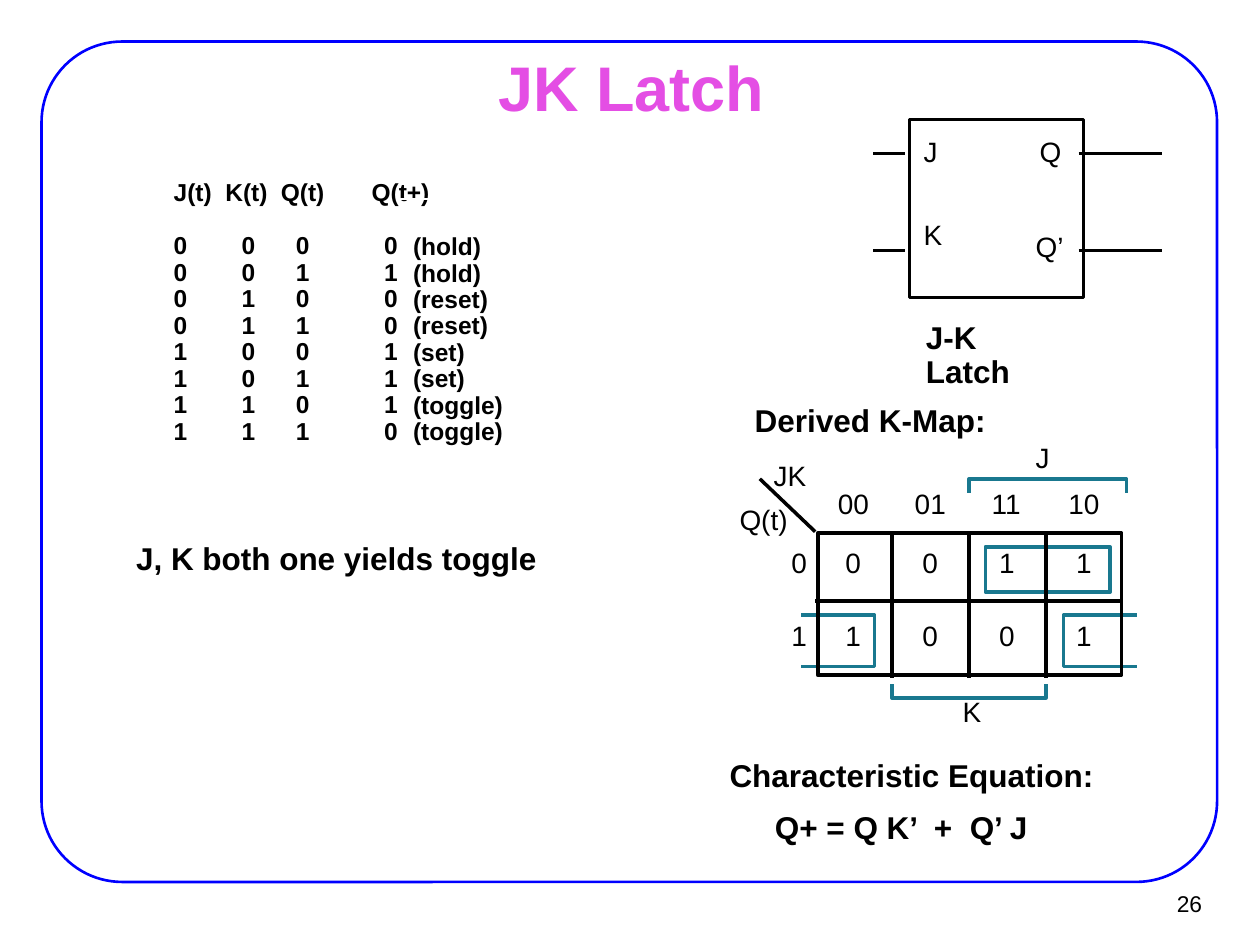
from lxml import etree
from pptx import Presentation, util as u
from pptx.dml.color import RGBColor
from pptx.enum import shapes, text
from pptx.oxml import ns

BLACK, WHITE, BLUE, TEAL, PINK = "000000", "FFFFFF", "0000FF", "19788F", "E44EE4"
TRUTH_ROWS = ["0000", "0011", "0100", "0110", "1001", "1011", "1101", "1110"]
ACTIONS = ["(hold)", "(reset)", "(set)", "(toggle)"]
MAP_LEFT, MAP_COLUMN = 64.7, 6.1


def grid(count):
    return u.Inches(count / 10)


def color(value):
    return RGBColor.from_string(value)


def write(frame, lines, size, bold=False, ink=BLACK, spacing=1.0,
          align=text.PP_ALIGN.LEFT, margins=(0, 0)):
    frame.margin_left = frame.margin_right = grid(margins[0])
    frame.margin_top = frame.margin_bottom = grid(margins[1])
    frame.text = "\n".join(lines)
    for paragraph in frame.paragraphs:
        paragraph.alignment = align
        paragraph.line_spacing = spacing
        paragraph.font.name = "Arial"
        paragraph.font.size = u.Pt(size)
        paragraph.font.bold = bold
        paragraph.font.color.rgb = color(ink)


def add_label(slide, words, left, top, width, height, size=16, wrap=False, **style):
    shape = slide.shapes.add_textbox(*map(grid, (left, top, width, height)))
    shape.text_frame.word_wrap = wrap
    write(shape.text_frame, [words], size, **style)


def outline(shape, ink, weight):
    shape.shadow.inherit = False
    shape.fill.background()
    shape.line.color.rgb = color(ink)
    shape.line.width = u.Pt(weight)


def add_box(slide, left, top, width, height, ink=BLACK, weight=2,
            kind=shapes.MSO_SHAPE.RECTANGLE):
    shape = slide.shapes.add_shape(kind, *map(grid, (left, top, width, height)))
    outline(shape, ink, weight)
    return shape


def add_line(slide, *ends):
    line = slide.shapes.add_connector(shapes.MSO_CONNECTOR.STRAIGHT, *map(grid, ends))
    line.line.color.rgb = color(BLACK)
    line.line.width = u.Pt(2)
    etree.SubElement(line._element.spPr, ns.qn("a:effectLst"))


def add_bracket(slide, *points):
    start, *others = [(grid(x), grid(y)) for x, y in points]
    builder = slide.shapes.build_freeform(*start)
    builder.add_line_segments(others, close=False)
    outline(builder.convert_to_shape(), TEAL, 2)


def set_tabs(paragraph, stops):
    properties = paragraph._p.get_or_add_pPr()
    tabs = etree.Element(ns.qn("a:tabLst"))
    for stop in stops:
        etree.SubElement(tabs, ns.qn("a:tab"), pos=str(grid(stop)), algn="l")
    properties.find(ns.qn("a:defRPr")).addprevious(tabs)


def add_frame(slide):
    frame = add_box(slide, 3.3, 3.3, 93.3, 66.7, BLUE, 1.5,
                    shapes.MSO_SHAPE.ROUNDED_RECTANGLE)
    frame.adjustments[0] = 0.096
    title = slide.shapes.title
    title.left, title.top, title.width, title.height = map(grid, (7.6, 4.4, 85, 4.9))
    title.text_frame.vertical_anchor = text.MSO_ANCHOR.MIDDLE
    write(title.text_frame, ["JK Latch"], 36, bold=True, ink=PINK,
          align=text.PP_ALIGN.CENTER, margins=(1.1, 0.6))
    add_label(slide, "26", 90.2, 69.9, 6.1, 3.7, 13,
              align=text.PP_ALIGN.RIGHT, margins=(0.9, 0.75))


def add_truth_table(slide):
    table = add_box(slide, 12.8, 13.8, 22.9, 22.2, WHITE, 1)
    notes = add_box(slide, 31.8, 15.8, 9.7, 20.1, WHITE, 1)
    lines = ["J(t)\tK(t)\tQ(t)\tQ(t+)"] + ["\t".join(row) for row in TRUTH_ROWS]
    actions = [action for action in ACTIONS for _ in range(2)]
    for shape, content in ((table, lines), (notes, actions)):
        shape.text_frame.vertical_anchor = text.MSO_ANCHOR.TOP
        write(shape.text_frame, content, 14, bold=True, spacing=0.9, margins=(1, 0.5))
    notes.text_frame.margin_top = grid(2.8)
    header, *rows = table.text_frame.paragraphs
    header.space_after = u.Pt(15.5)
    set_tabs(header, (4.1, 8.5, 15.7))
    for row in rows:
        set_tabs(row, (5.4, 9.7, 16.7))


def add_latch(slide):
    add_box(slide, 72.2, 9.5, 13.8, 14.1)
    for y in (12.2, 19.9):
        add_line(slide, 69.3, y, 71.8, y)
        add_line(slide, 85.6, y, 92.2, y)
    for pin, x, y in (("J", 73.3, 11), ("K", 73.3, 17.6),
                      ("Q", 82.5, 11), ("Q’", 82.2, 18.5)):
        add_label(slide, pin, x, y, 2.8, 2.4, spacing=0.9)
    add_label(slide, "J-K Latch", 72.5, 25.1, 12, 5.9, 18, wrap=True,
              bold=True, spacing=0.9, margins=(1, 0.5))


def add_map(slide):
    edges = [MAP_LEFT + MAP_COLUMN * column for column in range(5)]
    right = edges[-1]
    add_box(slide, 78.2, 43.4, 9.9, 3.6, TEAL)
    for inner, outer in ((84.4, 90.2), (69.4, 63.6)):
        add_bracket(slide, (outer, 52.9), (inner, 52.9), (inner, 48.8), (outer, 48.8))
    add_bracket(slide, (edges[3], 54.3), (edges[3], 55.4),
                (edges[1], 55.4), (edges[1], 54.3))
    add_bracket(slide, (edges[2], 39.1), (edges[2], 38), (89.4, 38), (89.4, 39.1))
    add_box(slide, 64.9, 42.3, 24.1, 11.3)
    for edge in edges[1:-1]:
        add_line(slide, edge, 42.2, edge, 53.8)
    add_line(slide, MAP_LEFT, 47.7, right, 47.7)
    add_line(slide, MAP_LEFT, 42.2, 60.3, 38)
    for edge, code in zip(edges, ("00", "01", "11", "10")):
        add_label(slide, code, edge + 1.8, 38.6, 3.1, 2.7)
    for y, name, values in ((43.3, "0", "0011"), (49.1, "1", "1001")):
        add_label(slide, name, 62.8, y, 1.9, 2.7)
        for edge, value in zip(edges, values):
            add_label(slide, value, edge + 2.4, y, 1.9, 2.7)
    for name, x, y, width in (("J", 82.2, 35, 1.7), ("K", 76.4, 55.1, 2.1),
                              ("JK", 61.4, 36.4, 3.2), ("Q(t)", 58.7, 39.9, 4.7)):
        add_label(slide, name, x, y, width, 2.7)


def add_statements(slide):
    for words, x, y, width in (
            ("J, K both one yields toggle", 10.1, 42.9, 34),
            ("Derived K-Map:", 59.2, 32, 23),
            ("Characteristic Equation:", 57.2, 60.2, 32),
            ("Q+ = Q K’  +  Q’ J", 60.8, 64.3, 23)):
        add_label(slide, words, x, y, width, 3.1, 18, wrap=True, bold=True,
                  spacing=0.85, margins=(0.7, 0.3))


def main():
    presentation = Presentation()
    presentation.slide_width, presentation.slide_height = grid(100), grid(75)
    slide = presentation.slides.add_slide(presentation.slide_layouts[5])
    add_frame(slide)
    add_truth_table(slide)
    add_latch(slide)
    add_map(slide)
    add_statements(slide)
    presentation.save("out.pptx")


if __name__ == "__main__":
    main()
